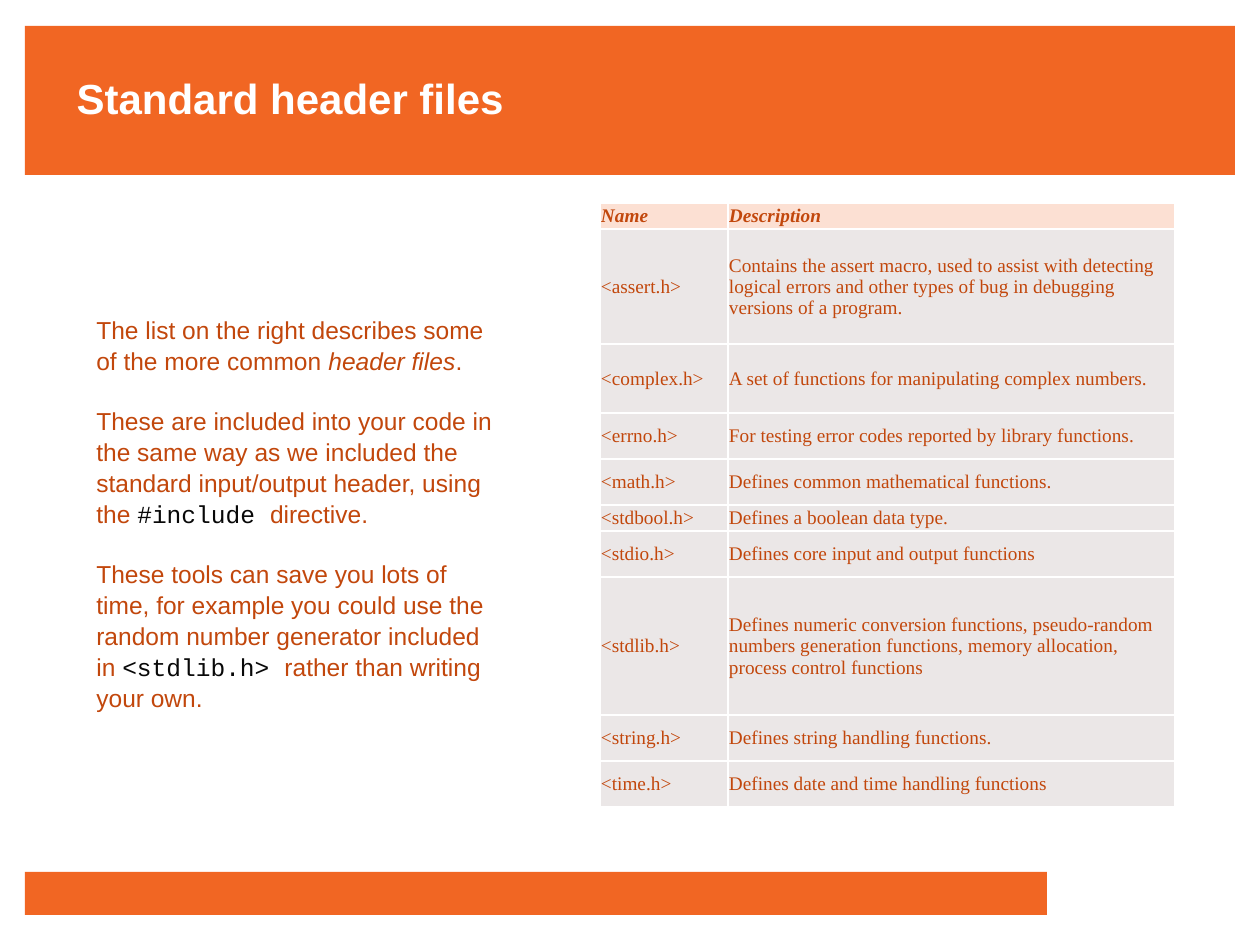
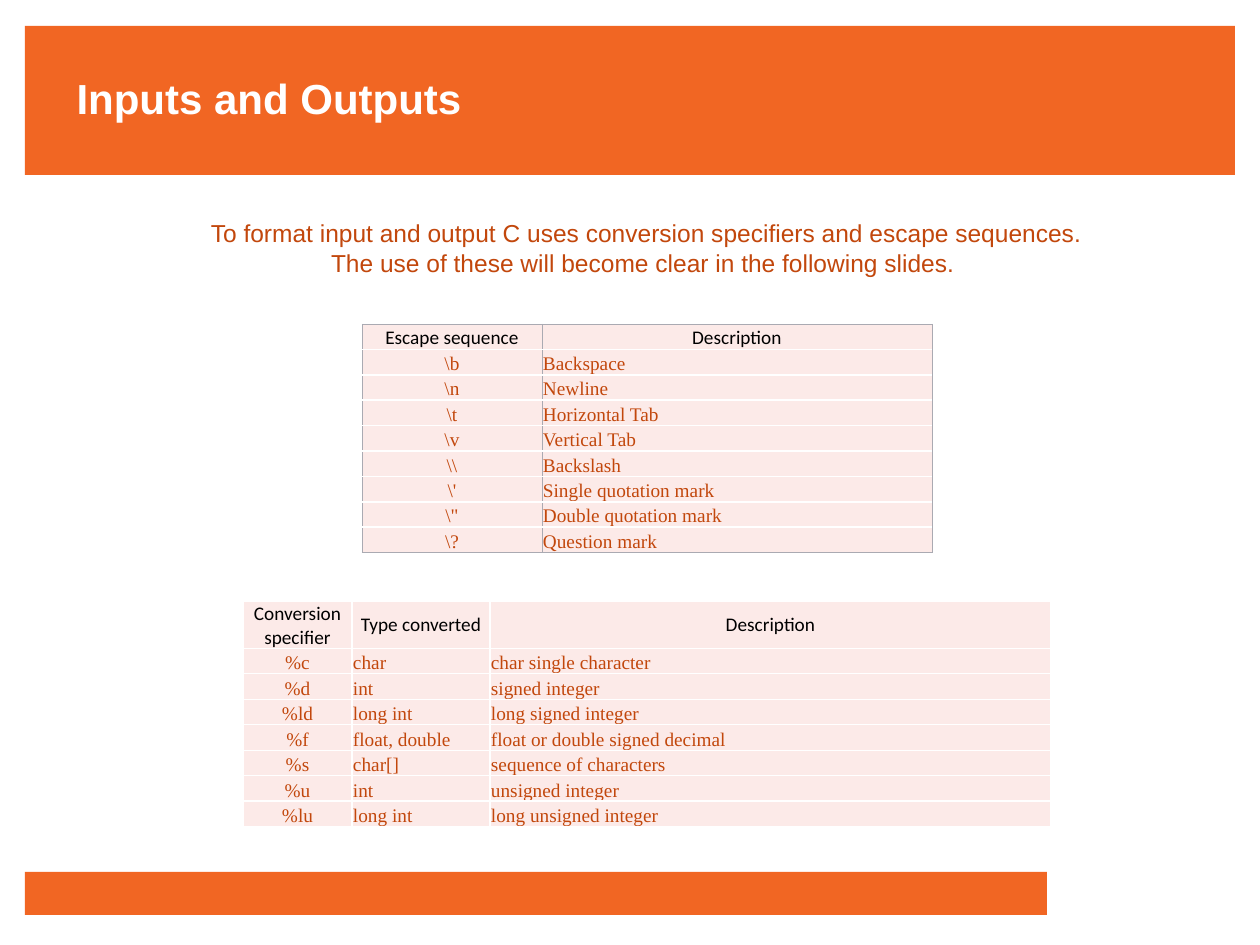
"""Build two slides on C header files and input/output formatting."""
import pptx
import pptx.dml.color
import pptx.enum.shapes
import pptx.enum.text
import pptx.oxml.ns
import pptx.util
from lxml import etree

PX = 914400 / 126
COLORS = {
    "band": "F16623", "title": "FFFFFF", "text": "C2470C", "code": "080808",
    "head": "000000", "head_fill": "FCE0D3", "row_fill": "EBE7E7",
    "pink_fill": "FCEAE8", "rule": "FFFFFF", "outline": "AAAAB2",
}
SANS, SERIF, MONO, HEAD = "Arial", "Times New Roman", "Courier New", "Calibri"
ALIGN = pptx.enum.text.PP_ALIGN
ANCHOR = pptx.enum.text.MSO_ANCHOR
BANDS = [(25, 26, 1210, 149), (25, 872, 1022, 43)]

HEADERS = [
    ("Name", "Description"),
    ("<assert.h>", "Contains the assert macro, used to assist with detecting logical errors "
                   "and other types of bug in debugging versions of a program."),
    ("<complex.h>", "A set of functions for manipulating complex numbers."),
    ("<errno.h>", "For testing error codes reported by library functions."),
    ("<math.h>", "Defines common mathematical functions."),
    ("<stdbool.h>", "Defines a boolean data type."),
    ("<stdio.h>", "Defines core input and output functions"),
    ("<stdlib.h>", "Defines numeric conversion functions, pseudo-random numbers generation "
                   "functions, memory allocation, process control functions"),
    ("<string.h>", "Defines string handling functions."),
    ("<time.h>", "Defines date and time handling functions"),
]
HEADER_HEIGHTS = [26, 115, 69, 46, 46, 26, 46, 138, 46, 46]
ESCAPES = [
    ("Escape sequence", "Description"),
    (r"\b", "Backspace"),
    (r"\n", "Newline"),
    (r"\t", "Horizontal Tab"),
    (r"\v", "Vertical Tab"),
    (r"\\", "Backslash"),
    (r"\'", "Single quotation mark"),
    (r'\"', "Double quotation mark"),
    (r"\?", "Question mark"),
]
SPECIFIERS = [
    ("Conversion specifier", "Type converted", "Description"),
    ("%c", "char", "char single character"),
    ("%d", "int", "signed integer"),
    ("%ld", "long int", "long signed integer"),
    ("%f", "float, double", "float or double signed decimal"),
    ("%s", "char[]", "sequence of characters"),
    ("%u", "int", "unsigned integer"),
    ("%lu", "long int", "long unsigned integer"),
]
HEADER_NOTES = [
    [("The list on the right describes some of the more common ", ""),
     ("header files", "italic"), (".", "")],
    [("These are included into your code in the same way as we included the standard "
      "input/output header, using the ", ""),
     ("#include ", "code"), ("directive.", "")],
    [("These tools can save you lots of time, for example you could use the random number "
      "generator included in ", ""),
     ("<stdlib.h> ", "code"), ("rather than writing your own.", "")],
]
FORMAT_NOTES = [
    [("To format input and output C uses conversion specifiers and escape sequences.", "")],
    [("The use of these will become clear in the following slides. ", "")],
]


def px(*lengths):
    """Turn px lengths into a list of EMU."""
    return [pptx.util.Emu(round(n * PX)) for n in lengths]


def rgb(name):
    """Look up a named colour."""
    return pptx.dml.color.RGBColor.from_string(COLORS[name])


def style_font(font, name, size, color, bold=None, italic=None):
    """Set the face, size and colour of a font."""
    font.name, font.size = name, pptx.util.Pt(size)
    font.color.rgb = rgb(color)
    font.bold, font.italic = bold, italic


def add_titled_slide(prs, title):
    """Add a slide with the two bands and its title."""
    s = prs.slides.add_slide(prs.slide_layouts[5])
    sp = s.shapes.title
    for box in BANDS:
        band = s.shapes.add_shape(pptx.enum.shapes.MSO_SHAPE.RECTANGLE, *px(*box))
        band.shadow.inherit = False
        band.fill.solid()
        band.fill.fore_color.rgb = rgb("band")
        band.line.fill.background()
        sp.element.addprevious(band.element)
    sp.left, sp.top, sp.width, sp.height = px(64, 66, 973, 63)
    tf = sp.text_frame
    tf.text = title
    tf.auto_size = pptx.enum.text.MSO_AUTO_SIZE.NONE
    tf.vertical_anchor = ANCHOR.MIDDLE
    p = tf.paragraphs[0]
    p.alignment = ALIGN.LEFT
    style_font(p.font, SANS, 24, "title", bold=True)
    return s


def add_notes(s, box, notes, align=ALIGN.LEFT, gap=0):
    """Add a text box of paragraphs made of plain, italic and code runs."""
    tf = s.shapes.add_textbox(*px(*box)).text_frame
    tf.word_wrap = True
    for i, runs in enumerate(notes):
        p = tf.add_paragraph() if i else tf.paragraphs[0]
        p.alignment, p.line_spacing = align, 1.05
        p.space_before = pptx.util.Pt(gap if i else 0)
        style_font(p.font, SANS, 14, "text")
        for text, kind in runs:
            r = p.add_run()
            r.text = text
            if kind == "code":
                style_font(r.font, MONO, 14, "code")
            else:
                style_font(r.font, SANS, 14, "text", italic=kind == "italic")


def add_border(cell, side, color, width):
    """Draw one side (L, R, T or B) of a cell."""
    qn = pptx.oxml.ns.qn
    ln = etree.SubElement(cell._tc.get_or_add_tcPr(), qn("a:ln" + side),
                          w=str(pptx.util.Pt(width)))
    fill = etree.SubElement(ln, qn("a:solidFill"))
    etree.SubElement(fill, qn("a:srgbClr"), val=COLORS[color])


def fill_cell(cell, text, fill, font, align, anchor, outlined):
    """Write and format one cell; outlined names its grey sides."""
    for side in "LRTB":
        add_border(cell, side, *(("outline", 0.25) if side in outlined else ("rule", 1)))
    cell.fill.solid()
    cell.fill.fore_color.rgb = rgb(fill)
    cell.margin_left, cell.margin_right, cell.margin_top, cell.margin_bottom = px(1, 1, 1, 0)
    cell.vertical_anchor = anchor
    cell.text = text
    p = cell.text_frame.paragraphs[0]
    p.alignment = align
    style_font(p.font, **font)


def add_grid(s, box, rows, widths, fills, head_font, centered=True,
             anchors=(ANCHOR.MIDDLE, ANCHOR.BOTTOM), heights=(), outline=False):
    """Add a table whose first row is a header."""
    table = s.shapes.add_table(len(rows), len(widths), *px(*box)).table
    table.first_row = table.horz_banding = False
    for col, width in zip(table.columns, px(*widths)):
        col.width = width
    for row, height in zip(table.rows, px(*heights)):
        row.height = height
    body_font = dict(name=SERIF, size=11, color="text")
    for i, row in enumerate(rows):
        sides = "LR" + "T" * (i == 0) + "B" * (i == len(rows) - 1) if outline else ""
        for j, text in enumerate(row):
            center = centered and (i == 0 or j == 0)
            fill_cell(table.cell(i, j), text, fills[i > 0],
                      body_font if i else head_font,
                      ALIGN.CENTER if center else ALIGN.LEFT, anchors[i > 0], sides)


def main():
    """Build and save the slides."""
    prs = pptx.Presentation()
    prs.slide_width, prs.slide_height = px(1260, 945)

    s = add_titled_slide(prs, "Standard header files")
    add_notes(s, (84, 307, 427, 398), HEADER_NOTES, gap=17)
    add_grid(s, (600, 203, 575, 604), HEADERS, (128, 447), ("head_fill", "row_fill"),
             dict(name=SERIF, size=11, color="text", bold=True, italic=True),
             centered=False, anchors=(ANCHOR.MIDDLE, ANCHOR.MIDDLE), heights=HEADER_HEIGHTS)

    s = add_titled_slide(prs, "Inputs and Outputs")
    add_notes(s, (195, 210, 903, 72), FORMAT_NOTES, align=ALIGN.CENTER)
    pink = ("pink_fill", "pink_fill")
    head_font = dict(name=HEAD, size=11, color="head")
    add_grid(s, (362, 324, 570, 229), ESCAPES, (180, 390), pink, head_font,
             anchors=(ANCHOR.BOTTOM, ANCHOR.BOTTOM), outline=True)
    add_grid(s, (243, 601, 808, 204), SPECIFIERS, (109, 138, 561), pink, head_font)

    prs.save("out.pptx")


if __name__ == "__main__":
    main()
